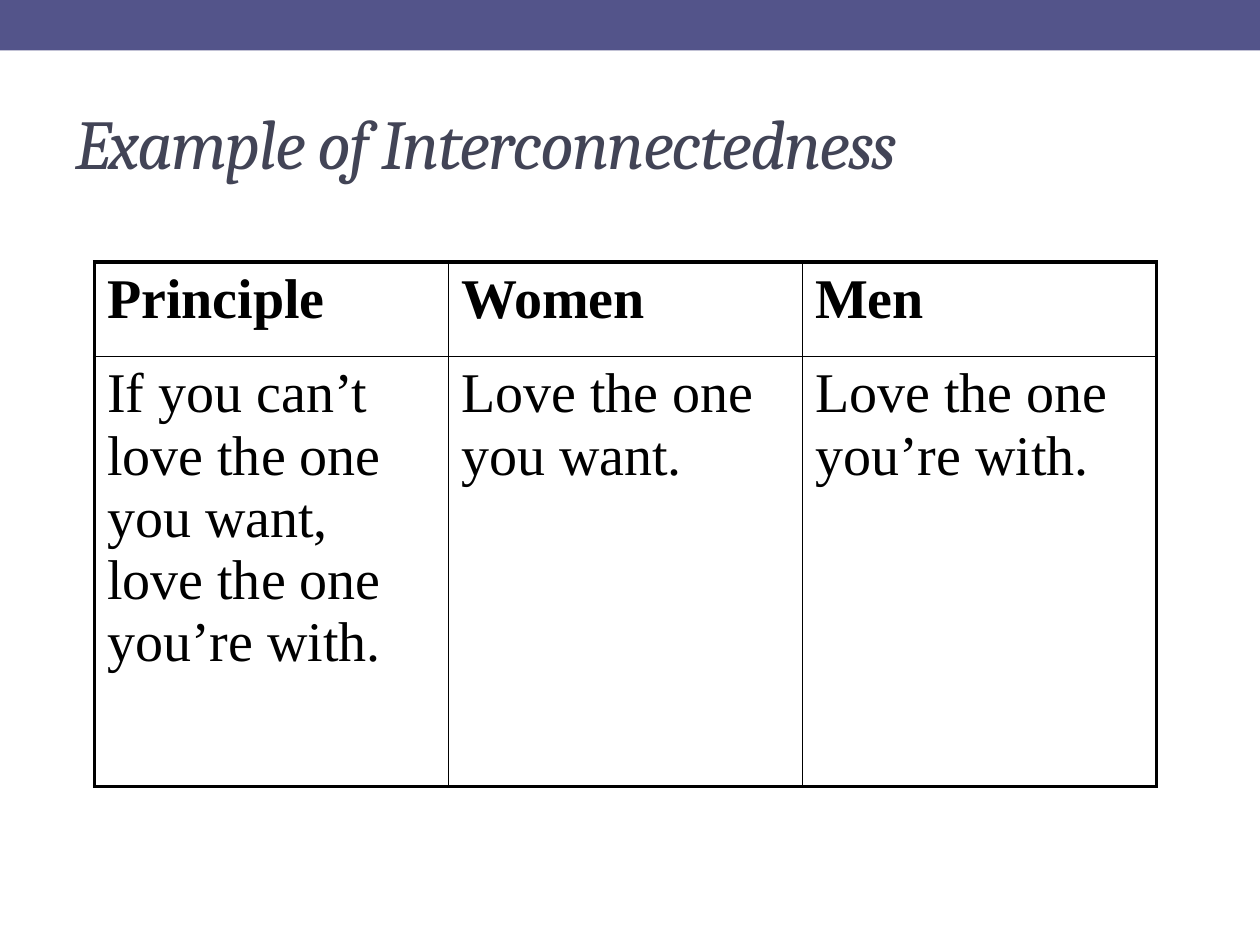
from lxml import etree
from pptx import Presentation
from pptx.dml.color import RGBColor
from pptx.enum.shapes import MSO_SHAPE
from pptx.enum.text import MSO_ANCHOR
from pptx.oxml.ns import qn
from pptx.util import Inches, Pt

RECTANGLE = MSO_SHAPE.RECTANGLE
MIDDLE = MSO_ANCHOR.MIDDLE

TITLE_FORMAT = {"name": "Cambria", "size": Pt(40), "italic": True}
HEADER_FORMAT = {"name": "Times New Roman", "size": Pt(32), "bold": True}
BODY_FORMAT = {**HEADER_FORMAT, "bold": False}

ROWS = [
    ["Principle", "Women", "Men"],
    ["If you can’t love the one you want, love the one you’re with.",
     "Love the one you want.",
     "Love the one you’re with."],
]
COLUMN_WIDTH = 2.81
ROW_HEIGHTS = [0.75, 3.41]
OUTER_LINE, INNER_LINE = 2.25, 1


def rgb(color):
    return RGBColor.from_string(color)


def add_run(tf, text, color, values):
    r = tf.paragraphs[0].add_run()
    r.text = text
    for name, value in values.items():
        setattr(r.font, name, value)
    r.font.color.rgb = rgb(color)
    return r


def add_band(slide):
    sp = slide.shapes.add_shape(RECTANGLE, 0, 0, Inches(10), Inches(0.4))
    sp.shadow.inherit = False
    sp.fill.solid()
    sp.fill.fore_color.rgb = rgb("53548A")
    sp.line.fill.background()


def add_title(slide, text):
    sp = slide.shapes.add_textbox(Inches(0.5), Inches(0.58), Inches(9), Inches(1.08))
    tf = sp.text_frame
    tf.word_wrap = True
    tf.vertical_anchor = MIDDLE
    r = add_run(tf, text, "424456", TITLE_FORMAT)
    r.font._element.set("spc", "-100")


def set_borders(cell, widths, color):
    """Draw the cell's sides; widths maps L, R, T and B, in that order, to points."""
    tc_pr = cell._tc.get_or_add_tcPr()
    for i, (side, width) in enumerate(widths.items()):
        ln = etree.Element(qn(f"a:ln{side}"), w=str(Pt(width)))
        fill = etree.SubElement(ln, qn("a:solidFill"))
        etree.SubElement(fill, qn("a:srgbClr"), val=color)
        tc_pr.insert(i, ln)


def add_grid(slide):
    n_rows, n_cols = len(ROWS), len(ROWS[0])
    frame = slide.shapes.add_table(
        n_rows, n_cols, Inches(0.75), Inches(2.08),
        Inches(COLUMN_WIDTH * n_cols), Inches(sum(ROW_HEIGHTS)))
    table = frame.table
    table.first_row = table.horz_banding = False
    for column in table.columns:
        column.width = Inches(COLUMN_WIDTH)
    for i, texts in enumerate(ROWS):
        table.rows[i].height = Inches(ROW_HEIGHTS[i])
        for j, text in enumerate(texts):
            cell = table.cell(i, j)
            cell.fill.background()
            add_run(cell.text_frame, text, "000000", BODY_FORMAT if i else HEADER_FORMAT)
            on_edge = {"L": j == 0, "R": j == n_cols - 1,
                       "T": i == 0, "B": i == n_rows - 1}
            widths = {side: OUTER_LINE if outer else INNER_LINE
                      for side, outer in on_edge.items()}
            set_borders(cell, widths, "000000")


def main():
    prs = Presentation()
    prs.slide_width, prs.slide_height = Inches(10), Inches(7.5)
    slide = prs.slides.add_slide(prs.slide_layouts[6])
    add_band(slide)
    add_title(slide, "Example of Interconnectedness")
    add_grid(slide)
    prs.save("out.pptx")


if __name__ == "__main__":
    main()
